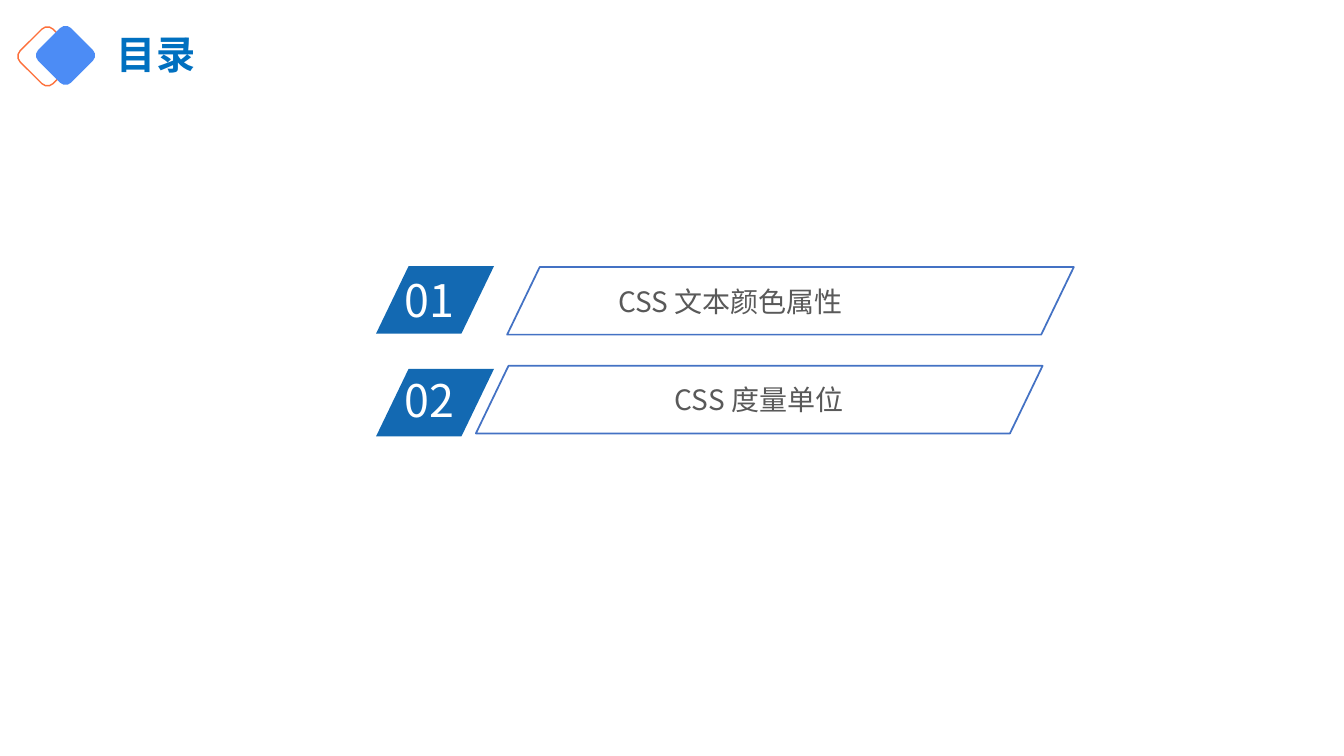
from pptx import Presentation
from pptx.dml.color import RGBColor
from pptx.enum.shapes import MSO_SHAPE
from pptx.enum.text import MSO_ANCHOR, PP_ALIGN
from pptx.oxml.ns import qn
from pptx.util import Inches, Pt

FONT = "Noto Sans CJK SC"
TITLE = "目录"
BLUE, OUTLINE, GREY, WHITE = "1369B2", "4472C4", "595959", "FFFFFF"
DIAMOND = 0.46
ROW_HEIGHT = 0.67
BADGE_LEFT, BADGE_WIDTH = 3.73, 1.17
NUMBER_LEFT, NUMBER_WIDTH, NUMBER_HEIGHT = 3.91, 1.12, 0.64
PANEL_WIDTH = 5.62
SLANT = 0.482
PANEL_INSETS = (0.07, 0.04)

# number, badge top, number top, label, panel left, panel top, label box (None: centred in panel)
ENTRIES = [
    ("01", 2.64, 2.66, "CSS 文本颜色属性", 5.03, 2.65, (6.06, 2.78, 4.12, 0.41)),
    ("02", 3.66, 3.65, "CSS 度量单位", 4.72, 3.63, None),
]


def color(value):
    return RGBColor.from_string(value)


def inches(box):
    return [Inches(length) for length in box]


def add_outline_or_fill(slide, preset, box, fill=None, line=None, line_width=1):
    """Add a preset shape; without a fill or line color that part stays empty."""
    shape = slide.shapes.add_shape(preset, *inches(box))
    shape.shadow.inherit = False
    if fill:
        shape.fill.solid()
        shape.fill.fore_color.rgb = color(fill)
    else:
        shape.fill.background()
    if line:
        shape.line.color.rgb = color(line)
        shape.line.width = Pt(line_width)
    else:
        shape.line.fill.background()
    return shape


def write(shape, text, size, text_color, bold=False, align=PP_ALIGN.LEFT,
          anchor=MSO_ANCHOR.TOP, insets=(0.1, 0.05)):
    frame = shape.text_frame
    frame.word_wrap = True
    frame.vertical_anchor = anchor
    frame.margin_left = frame.margin_right = Inches(insets[0])
    frame.margin_top = frame.margin_bottom = Inches(insets[1])
    paragraph = frame.paragraphs[0]
    paragraph.alignment = align
    run = paragraph.add_run()
    run.text = text
    run.font.size = Pt(size)
    run.font.bold = bold
    run.font.color.rgb = color(text_color)
    run.font.name = FONT
    east_asian = run.font._element.makeelement(qn("a:ea"), {"typeface": FONT})
    run.font._element.find(qn("a:latin")).addnext(east_asian)
    return paragraph


def add_parallelogram(slide, box, **style):
    shape = add_outline_or_fill(slide, MSO_SHAPE.PARALLELOGRAM, box, **style)
    shape.adjustments[0] = SLANT
    return shape


def add_entry(slide, number, badge_top, number_top, label, panel_left, panel_top, label_box):
    add_parallelogram(slide, (BADGE_LEFT, badge_top, BADGE_WIDTH, ROW_HEIGHT), fill=BLUE)
    number_box = slide.shapes.add_textbox(
        *inches((NUMBER_LEFT, number_top, NUMBER_WIDTH, NUMBER_HEIGHT)))
    write(number_box, number, 32, WHITE)
    panel = add_parallelogram(slide, (panel_left, panel_top, PANEL_WIDTH, ROW_HEIGHT),
                              line=OUTLINE, line_width=1.25)
    if label_box:
        write(slide.shapes.add_textbox(*inches(label_box)), label, 20, GREY,
              insets=PANEL_INSETS)
    else:
        write(panel, label, 20, GREY, align=PP_ALIGN.CENTER,
              anchor=MSO_ANCHOR.MIDDLE, insets=PANEL_INSETS)


def main():
    presentation = Presentation()
    presentation.slide_width, presentation.slide_height = inches((13.33, 7.5))
    slide = presentation.slides.add_slide(presentation.slide_layouts[5])

    for left, top, style in [(0.24, 0.33, {"line": "FD703B"}), (0.42, 0.32, {"fill": "4C8CF5"})]:
        diamond = add_outline_or_fill(slide, MSO_SHAPE.ROUNDED_RECTANGLE,
                                      (left, top, DIAMOND, DIAMOND), **style)
        diamond.rotation = 45

    title = slide.shapes.title
    title.left, title.top, title.width, title.height = inches((1.06, 0.17, 5.13, 0.79))
    paragraph = write(title, TITLE, 28, "0070C0", bold=True, anchor=MSO_ANCHOR.MIDDLE)
    paragraph.line_spacing = 0.9

    for entry in ENTRIES:
        add_entry(slide, *entry)

    presentation.save("out.pptx")


if __name__ == "__main__":
    main()
